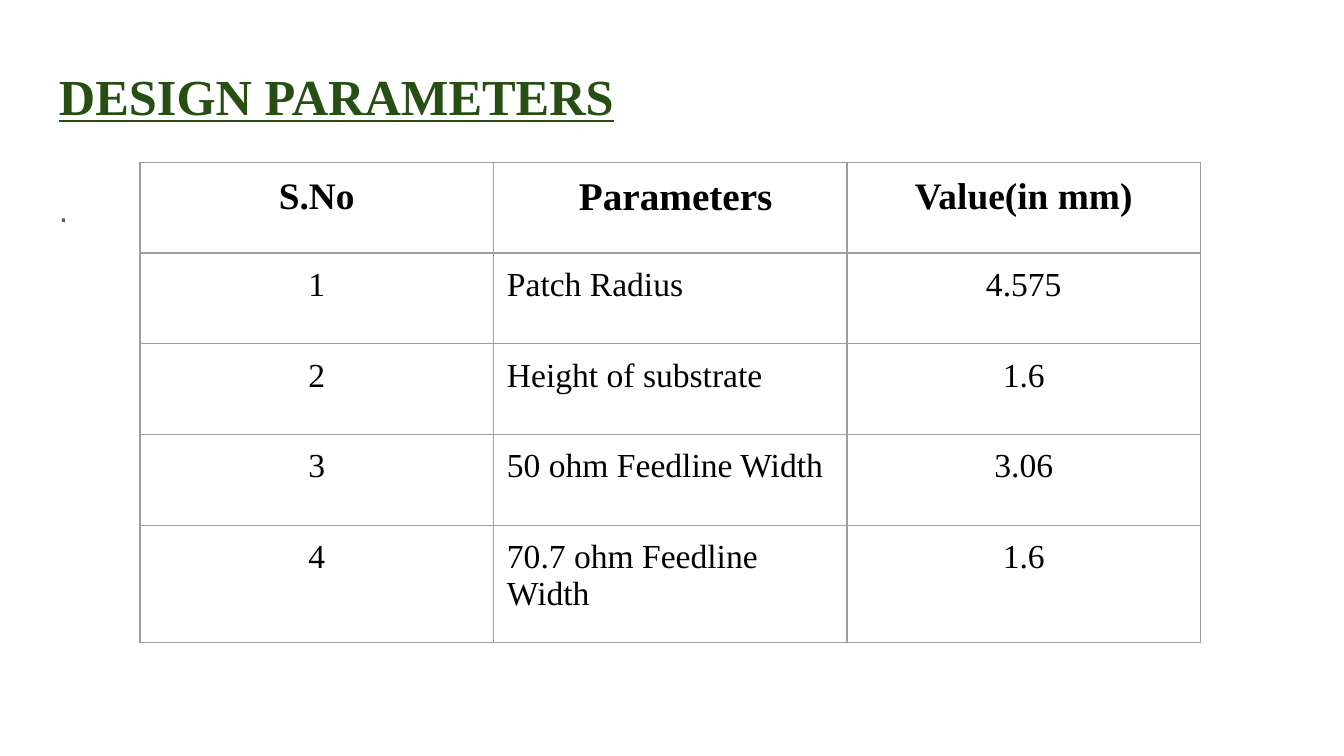
from dataclasses import dataclass

from lxml import etree
from pptx import Presentation
from pptx.dml.color import RGBColor
from pptx.enum import text
from pptx.oxml import ns
from pptx.util import Pt

HUES = {"title": "274E13", "body": "595959", "cell": "000000", "rule": "9E9E9E"}
SERIF = "Times New Roman"
PAD = 7.2
LEFT = text.PP_ALIGN.LEFT
MID = text.PP_ALIGN.CENTER


@dataclass
class Style:
    size: float
    hue: str = "cell"
    face: str = SERIF
    bold: bool = False
    line: bool = False
    align: int = LEFT


@dataclass
class Box:
    words: str
    top: float
    high: float
    style: Style
    inset: float = PAD
    space: float = 1
    after: float = 0


@dataclass
class Cell:
    words: str
    style: Style
    inset: float = PAD


HEAD = Style(20, bold=True, align=MID)
NAME = Style(18)
DATA = Style(18, align=MID)

BOXES = [
    Box("DESIGN PARAMETERS", 25.2, 40.3,
        Style(27, "title", bold=True, line=True), inset=9.6),
    Box(".", 90.7, 269.3, Style(18, "body", "Arial"), space=1.15, after=12),
]
ITEMS = [
    ("Patch Radius", "4.575"),
    ("Height of substrate", "1.6"),
    ("50 ohm Feedline Width", "3.06"),
    ("70.7 ohm Feedline Width", "1.6"),
]
ROWS = [[
    Cell("S.No", HEAD),
    Cell("Parameters", Style(21, bold=True), inset=45.8),
    Cell("Value(in mm)", HEAD),
]] + [
    [Cell(str(num), DATA), Cell(name, NAME), Cell(value, DATA)]
    for num, (name, value) in enumerate(ITEMS, 1)
]
HIGHS = [48.6] * 4 + [63]
WIDE = 189.4


def write(frame, words: str, style: Style):
    para = frame.paragraphs[0]
    para.text = words
    para.alignment = style.align
    font = para.font
    font.name = style.face
    font.size = Pt(style.size)
    font.bold = style.bold
    font.underline = style.line
    font.color.rgb = RGBColor.from_string(HUES[style.hue])
    return para


def put_box(slide, box: Box) -> None:
    frame = slide.shapes.add_textbox(
        Pt(24.5), Pt(box.top), Pt(671), Pt(box.high)).text_frame
    frame.word_wrap = True
    frame.vertical_anchor = text.MSO_ANCHOR.TOP
    frame.margin_left = frame.margin_right = frame.margin_bottom = Pt(PAD)
    frame.margin_top = Pt(box.inset)
    para = write(frame, box.words, box.style)
    para.line_spacing = box.space
    para.space_after = Pt(box.after)


def rule(cell) -> None:
    props = cell._tc.get_or_add_tcPr()
    for side in ("lnL", "lnR", "lnT", "lnB"):
        edge = etree.SubElement(props, ns.qn(f"a:{side}"), w=str(Pt(0.75)))
        fill = etree.SubElement(edge, ns.qn("a:solidFill"))
        etree.SubElement(fill, ns.qn("a:srgbClr"), val=HUES["rule"])


def put_cell(cell, item: Cell) -> None:
    cell.margin_left = Pt(item.inset)
    cell.margin_right = cell.margin_top = cell.margin_bottom = Pt(PAD)
    rule(cell)
    cell.fill.background()
    write(cell.text_frame, item.words, item.style)


def put_table(slide, rows: list[list[Cell]]) -> None:
    wide = len(rows[0])
    table = slide.shapes.add_table(
        len(rows), wide, Pt(75), Pt(87), Pt(WIDE * wide), Pt(sum(HIGHS))).table
    table.first_row = table.horz_banding = False
    for col in table.columns:
        col.width = Pt(WIDE)
    for row, high, items in zip(table.rows, HIGHS, rows):
        row.height = Pt(high)
        for cell, item in zip(row.cells, items):
            put_cell(cell, item)


def main() -> None:
    deck = Presentation()
    deck.slide_width, deck.slide_height = Pt(720), Pt(405)
    slide = deck.slides.add_slide(deck.slide_layouts[6])
    for box in BOXES:
        put_box(slide, box)
    put_table(slide, ROWS)
    deck.save("out.pptx")


if __name__ == "__main__":
    main()
